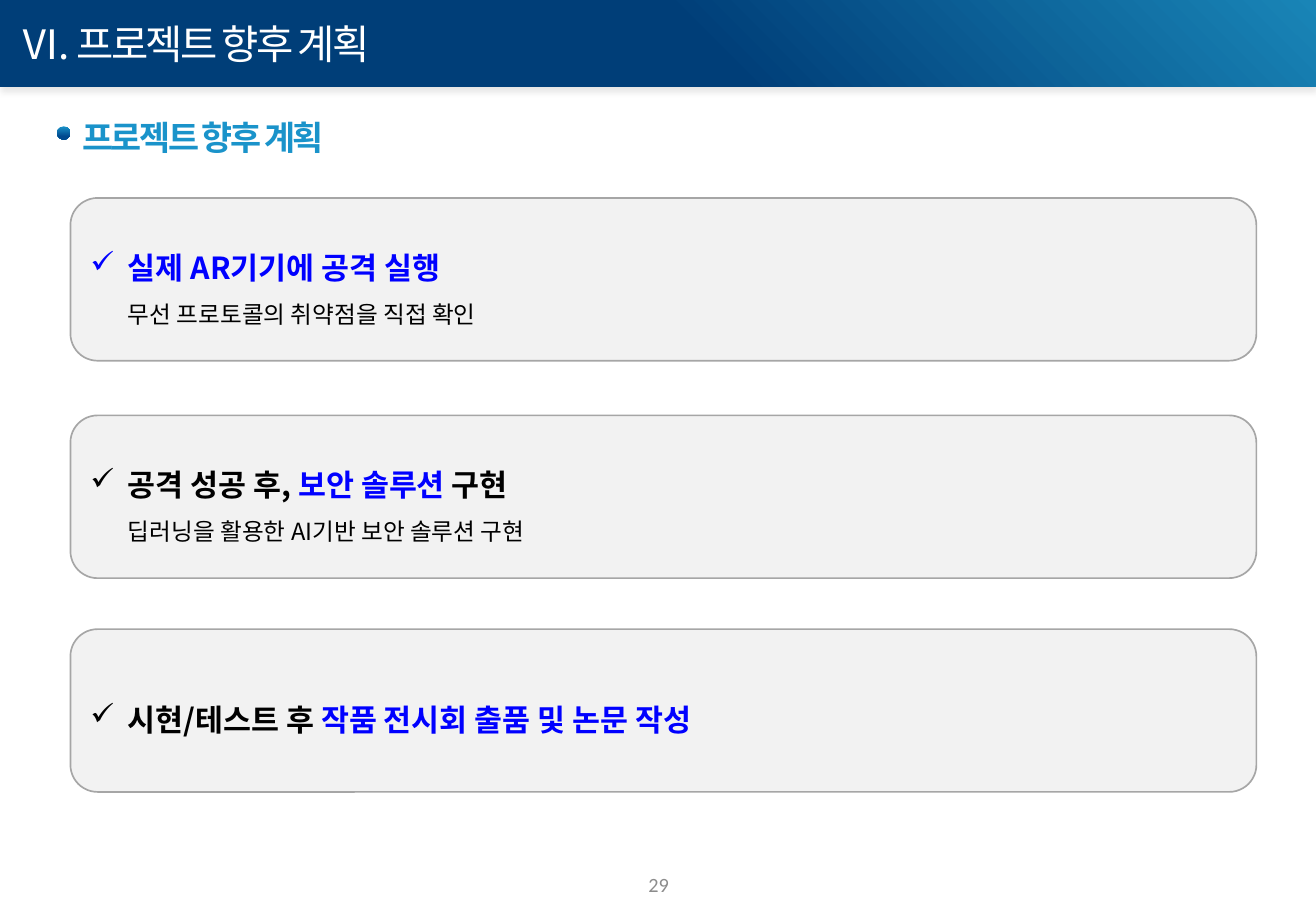
from lxml import etree
from pptx import Presentation
from pptx.dml.color import RGBColor
from pptx.enum.shapes import MSO_SHAPE
from pptx.enum.text import MSO_ANCHOR, MSO_AUTO_SIZE, PP_ALIGN
from pptx.oxml import parse_xml
from pptx.oxml.ns import nsdecls, qn
from pptx.util import Inches, Pt

RECTANGLE, ROUNDED, OVAL = MSO_SHAPE.RECTANGLE, MSO_SHAPE.ROUNDED_RECTANGLE, MSO_SHAPE.OVAL
TOP, MIDDLE = MSO_ANCHOR.TOP, MSO_ANCHOR.MIDDLE
GROW, FIXED = MSO_AUTO_SIZE.SHAPE_TO_FIT_TEXT, MSO_AUTO_SIZE.NONE
LEFT, CENTER = PP_ALIGN.LEFT, PP_ALIGN.CENTER

# Content
TITLE = "Ⅵ. 프로젝트 향후 계획"
HEADING = "프로젝트 향후 계획"
PAGE_NUMBER = "29"
BLACK, BLUE = "000000", "0000FF"
# Each plan: top of its card, heading runs, detail line
PLANS = [
    (1.63, [("실제 AR기기에 공격 실행", BLUE)], "무선 프로토콜의 취약점을 직접 확인"),
    (3.42, [("공격 성공 후, ", BLACK), ("보안 솔루션", BLUE), (" 구현", BLACK)],
     "딥러닝을 활용한 AI기반 보안 솔루션 구현"),
    (5.18, [("시현/테스트 후 ", BLACK), ("작품 전시회 출품 및 논문 작성", BLUE)], None),
]

# Layout and style
SLIDE_WIDTH, SLIDE_HEIGHT = 10.83, 7.5
CARD_LEFT, CARD_WIDTH, CARD_HEIGHT = 0.58, 9.76, 1.34
TEXT_INDENT = 0.31
FONT = "Noto Sans CJK KR"
BAR_STOPS = [(0, "1985B7"), (0.47, "003E78")]
DOT_STOPS = [(0, "1A93CA"), (0.76, "00498E")]


def color(value):
    return RGBColor.from_string(value)


def place(shape, left, top, width, height):
    shape.left, shape.top = Inches(left), Inches(top)
    shape.width, shape.height = Inches(width), Inches(height)


def add_plain_shape(shapes, kind, left, top, width, height):
    shape = shapes.add_shape(kind, Inches(left), Inches(top), Inches(width), Inches(height))
    shape.shadow.inherit = False
    shape.line.fill.background()
    return shape


def fill_gradient(shape, stops, clockwise_angle):
    shape.fill.gradient()
    shape.fill.gradient_angle = 360 - clockwise_angle
    for stop, (position, value) in zip(shape.fill.gradient_stops, stops):
        stop.position = position
        stop.color.rgb = color(value)


def add_run(paragraph, text, size, value, font=FONT, bold=False, spacing=None):
    run = paragraph.add_run()
    run.text = text
    run.font.size = Pt(size)
    run.font.bold = bold
    run.font.name = font
    run.font.color.rgb = color(value)
    properties = run.font._element
    etree.SubElement(properties, qn("a:ea")).set("typeface", font)
    if spacing is not None:
        properties.set("spc", str(int(spacing * 100)))


def set_frame(frame, anchor=TOP, auto_size=FIXED, wrap=True):
    frame.vertical_anchor = anchor
    frame.auto_size = auto_size
    frame.word_wrap = wrap


def format_card_line(paragraph, bullet=None):
    paragraph.alignment = LEFT
    paragraph.line_spacing = 1.5
    properties = paragraph._p.get_or_add_pPr()
    properties.set("marL", str(Inches(TEXT_INDENT)))
    properties.set("indent", str(-Inches(TEXT_INDENT) if bullet else 0))
    if bullet:
        etree.SubElement(properties, qn("a:buChar")).set("char", bullet)


presentation = Presentation()
presentation.slide_width = Inches(SLIDE_WIDTH)
presentation.slide_height = Inches(SLIDE_HEIGHT)
slide = presentation.slides.add_slide(presentation.slide_layouts[5])
title = slide.shapes.title

# Header bar with a soft shadow, behind the title
bar = add_plain_shape(slide.shapes, RECTANGLE, 0, 0, SLIDE_WIDTH, 0.71)
fill_gradient(bar, BAR_STOPS, 135)
effects = bar._element.spPr.find(qn("a:effectLst"))
effects.append(parse_xml(
    f'<a:outerShdw {nsdecls("a")} blurRad="{Pt(4)}" dist="{Pt(3)}" dir="5400000" rotWithShape="0">'
    '<a:srgbClr val="000000"><a:alpha val="10000"/></a:srgbClr></a:outerShdw>'))
title._element.addprevious(bar._element)

# Title
place(title, 0.07, 0.11, 3.84, 0.5)
set_frame(title.text_frame, auto_size=GROW)
title_line = title.text_frame.paragraphs[0]
title_line.alignment = LEFT
add_run(title_line, TITLE, 24, "FFFFFF", spacing=-1.5)

# Page number
number = slide.shapes.add_textbox(Inches(4.2), Inches(7.08), Inches(2.44), Inches(0.4))
set_frame(number.text_frame, anchor=MIDDLE)
number_line = number.text_frame.paragraphs[0]
number_line.alignment = CENTER
add_run(number_line, PAGE_NUMBER, 12, "8C8C8C", font="Calibri")

# Plan cards
for top, heading_runs, detail in PLANS:
    card = add_plain_shape(slide.shapes, ROUNDED, CARD_LEFT, top, CARD_WIDTH, CARD_HEIGHT)
    card.fill.solid()
    card.fill.fore_color.rgb = color("F2F2F2")
    card.line.color.rgb = color("A6A6A6")
    card.line.width = Pt(1)
    set_frame(card.text_frame, anchor=MIDDLE)
    card_line = card.text_frame.paragraphs[0]
    format_card_line(card_line, bullet="✓")
    for text, value in heading_runs:
        add_run(card_line, text, 18, value, bold=True)
    if detail:
        detail_line = card.text_frame.add_paragraph()
        format_card_line(detail_line)
        add_run(detail_line, detail, 14, BLACK)

# Section heading with its dot
section = slide.shapes.add_group_shape()
heading = section.shapes.add_textbox(Inches(0.58), Inches(0.91), Inches(2.23), Inches(0.44))
set_frame(heading.text_frame, auto_size=GROW, wrap=False)
add_run(heading.text_frame.paragraphs[0], HEADING, 20, "1A93CA", bold=True, spacing=-1.5)
dot = add_plain_shape(section.shapes, OVAL, 0.47, 1.04, 0.11, 0.11)
fill_gradient(dot, DOT_STOPS, 90)

presentation.save("out.pptx")
